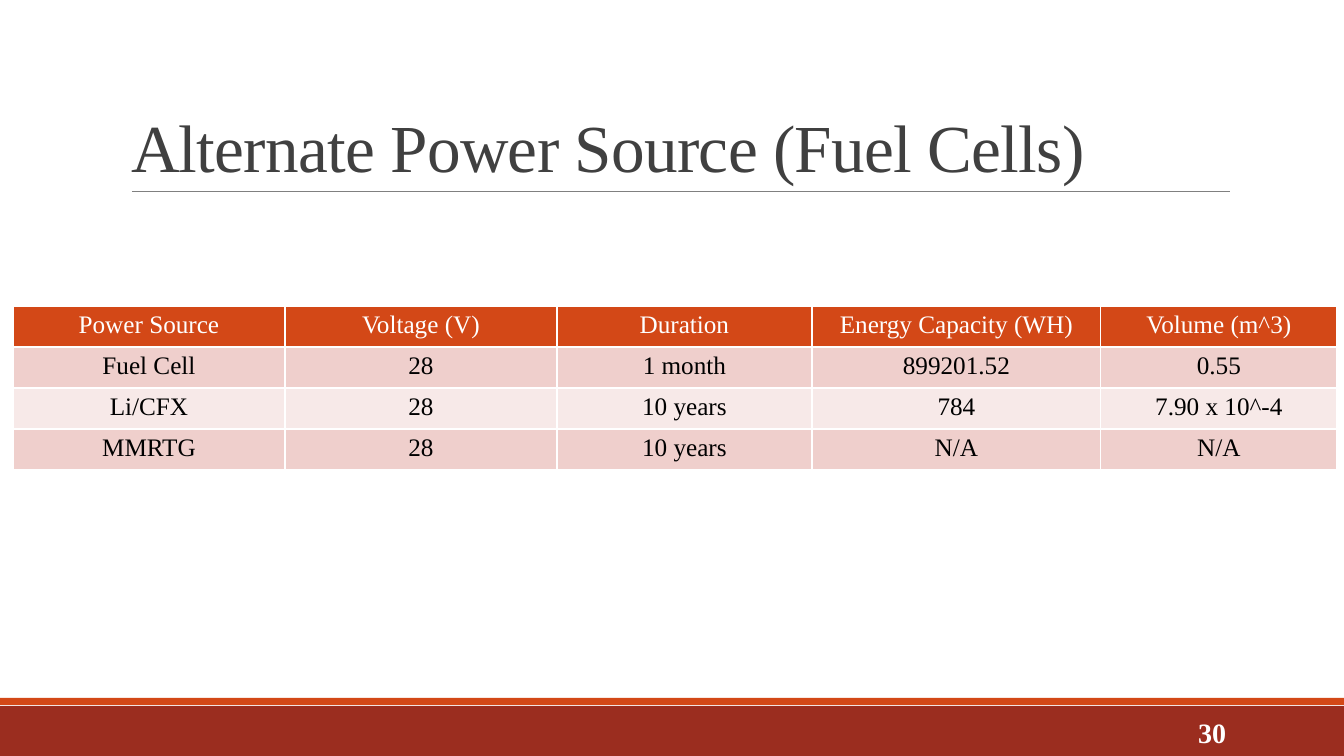
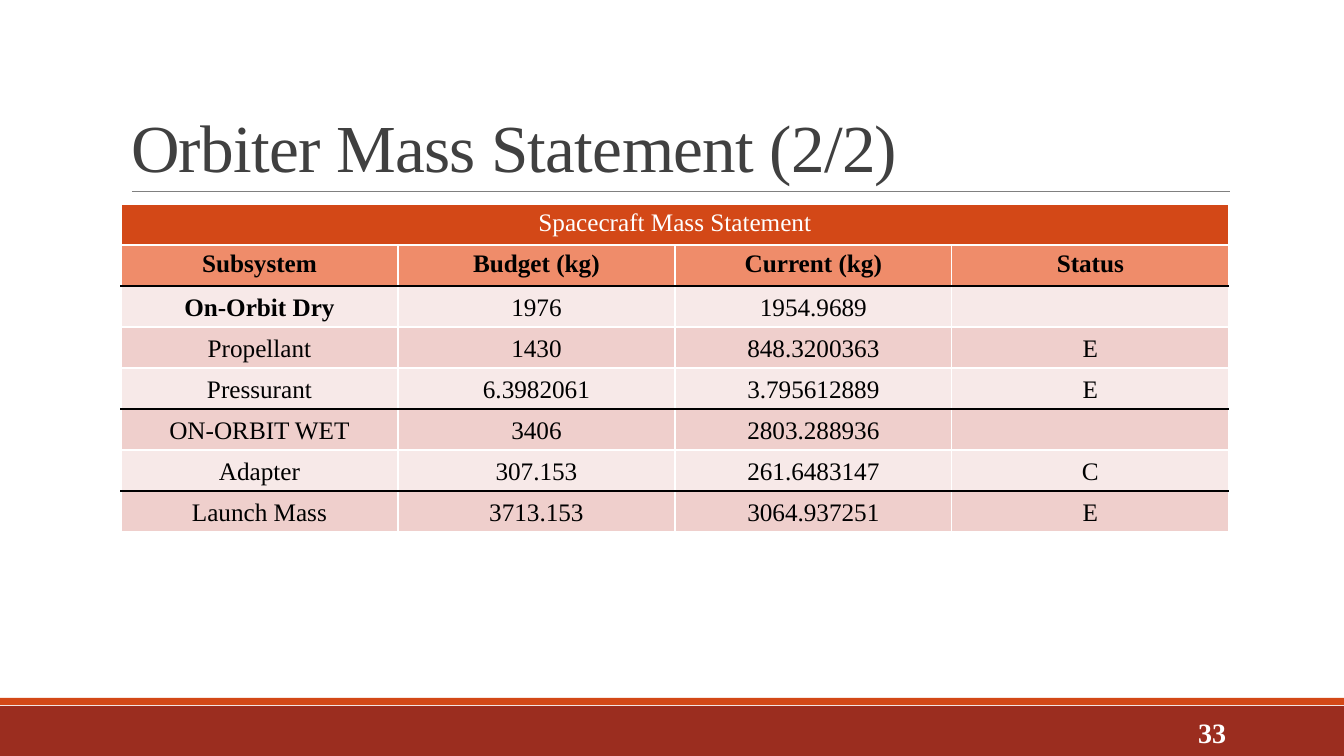
from lxml import etree
from pptx import Presentation
from pptx.dml.color import RGBColor
from pptx.enum.shapes import MSO_CONNECTOR, MSO_SHAPE
from pptx.enum.text import MSO_ANCHOR, MSO_AUTO_SIZE, PP_ALIGN
from pptx.oxml.ns import qn
from pptx.util import Emu, Pt

LEFT, CENTER, RIGHT = PP_ALIGN.LEFT, PP_ALIGN.CENTER, PP_ALIGN.RIGHT
TOP, MIDDLE, BOTTOM = MSO_ANCHOR.TOP, MSO_ANCHOR.MIDDLE, MSO_ANCHOR.BOTTOM
NO_AUTOFIT = MSO_AUTO_SIZE.NONE
RECTANGLE = MSO_SHAPE.RECTANGLE
STRAIGHT = MSO_CONNECTOR.STRAIGHT

WIDTH, HEIGHT = 1344, 756
EMU_PER_INCH, PX_PER_INCH = 914400, 100.8
TITLE_ONLY = 5
ROW_HEIGHT = 41
FONT = "Times New Roman"
COLORS = {
    "white": "FFFFFF",
    "black": "000000",
    "title": "404040",
    "rule": "808080",
    "band": "9B2D1F",
    "accent": "D34817",
    "subheader": "EF8C6A",
    "row_dark": "EFCFCC",
    "row_light": "F7E9E8",
}


def px(length):
    return Emu(round(length * EMU_PER_INCH / PX_PER_INCH))


def box(*lengths):
    return [px(length) for length in lengths]


def color(name):
    return RGBColor.from_string(COLORS[name])


class Deck:
    """Holds the shared style and the current slide."""

    def __init__(self):
        self.presentation = Presentation()
        self.presentation.slide_width = px(WIDTH)
        self.presentation.slide_height = px(HEIGHT)
        self.slide = None

    def add_slide(self, title, number):
        layout = self.presentation.slide_layouts[TITLE_ONLY]
        self.slide = self.presentation.slides.add_slide(layout)
        self.band(706, 50, "band")
        self.band(698, 7, "accent")
        self.rule(132, 191, 1230)
        self.title(title)
        self.page_number(number)

    def band(self, top, height, fill):
        shape = self.slide.shapes.add_shape(RECTANGLE, *box(0, top, WIDTH, height))
        shape.shadow.inherit = False
        shape.fill.solid()
        shape.fill.fore_color.rgb = color(fill)
        shape.line.fill.background()

    def rule(self, left, y, right):
        line = self.slide.shapes.add_connector(STRAIGHT, *box(left, y, right, y))
        line.line.color.rgb = color("rule")
        line.line.width = Pt(0.5)
        etree.SubElement(line._element.spPr, qn("a:effectLst"))

    def style(self, paragraph, size, font_color, align, bold=False):
        paragraph.alignment = align
        font = paragraph.font
        font.name, font.size, font.bold = FONT, Pt(size), bold
        font.color.rgb = color(font_color)

    def title(self, text):
        shape = self.slide.shapes.title
        shape.left, shape.top, shape.width, shape.height = box(121, 31, 1109, 160)
        frame = shape.text_frame
        frame.text = text
        frame.word_wrap = True
        frame.auto_size = NO_AUTOFIT
        frame.vertical_anchor = BOTTOM
        paragraph = frame.paragraphs[0]
        paragraph.line_spacing = 0.85
        self.style(paragraph, 48, "title", LEFT)
        paragraph.runs[0]._r.get_or_add_rPr().set("spc", "-50")

    def page_number(self, number):
        frame = self.slide.shapes.add_textbox(*box(1092, 712, 144, 40)).text_frame
        frame.text = str(number)
        frame.word_wrap = True
        frame.vertical_anchor = MIDDLE
        self.style(frame.paragraphs[0], 20, "white", RIGHT, bold=True)

    def border(self, cell, side, line_color):
        properties = cell._tc.get_or_add_tcPr()
        line = etree.SubElement(properties, qn(f"a:ln{side}"), w=str(Pt(1)))
        fill = etree.SubElement(line, qn("a:solidFill"))
        etree.SubElement(fill, qn("a:srgbClr"), val=COLORS[line_color])

    def table(self, left, top, widths, rows, fills, ruled_rows=()):
        """Draw a table; ruled_rows are the rows with a black line above."""
        size = box(left, top, sum(widths), ROW_HEIGHT * len(rows))
        table = self.slide.shapes.add_table(len(rows), len(widths), *size).table
        table.first_row = table.horz_banding = False
        for column, width in zip(table.columns, widths):
            column.width = px(width)
        for index, (values, fill) in enumerate(zip(rows, fills)):
            table.rows[index].height = px(ROW_HEIGHT)
            edges = {
                "L": "white",
                "R": "white",
                "T": "black" if index in ruled_rows else "white",
                "B": "black" if index + 1 in ruled_rows else "white",
            }
            for cell, value in zip(table.rows[index].cells, values):
                for side, line_color in edges.items():
                    self.border(cell, side, line_color)
                cell.fill.solid()
                cell.fill.fore_color.rgb = color(fill)
                cell.text = value
                font_color = "white" if fill == "accent" else "black"
                self.style(cell.text_frame.paragraphs[0], 18, font_color, CENTER,
                           bold=fill == "subheader")
        return table


def main():
    deck = Deck()

    # Power source comparison
    deck.add_slide("Alternate Power Source (Fuel Cells)", 30)
    deck.table(13, 306, [272, 272, 255, 289, 236], [
        ["Power Source", "Voltage (V)", "Duration", "Energy Capacity (WH)", "Volume (m^3)"],
        ["Fuel Cell", "28", "1 month", "899201.52", "0.55"],
        ["Li/CFX", "28", "10 years", "784", "7.90 x 10^-4"],
        ["MMRTG", "28", "10 years", "N/A", "N/A"],
    ], ["accent", "row_dark", "row_light", "row_dark"])

    # Mass statement
    deck.add_slide("Orbiter Mass Statement (2/2)", 33)
    table = deck.table(121, 204, [277] * 4, [
        ["Spacecraft Mass Statement", "", "", ""],
        ["Subsystem", "Budget (kg)", "Current (kg)", "Status"],
        ["On-Orbit Dry", "1976", "1954.9689", ""],
        ["Propellant", "1430", "848.3200363", "E"],
        ["Pressurant", "6.3982061", "3.795612889", "E"],
        ["ON-ORBIT WET", "3406", "2803.288936", ""],
        ["Adapter", "307.153", "261.6483147", "C"],
        ["Launch Mass", "3713.153", "3064.937251", "E"],
    ], ["accent", "subheader"] + ["row_light", "row_dark"] * 3, ruled_rows=(2, 5, 7))
    table.cell(0, 0).merge(table.cell(0, 3))
    table.cell(2, 0).text_frame.paragraphs[0].font.bold = True

    # Data rows sit low in their cells
    for row in list(table.rows)[2:]:
        for cell in row.cells:
            cell.vertical_anchor = BOTTOM
            cell.margin_left = cell.margin_right = cell.margin_top = px(1)
            cell.margin_bottom = px(5)

    deck.presentation.save("out.pptx")


if __name__ == "__main__":
    main()
